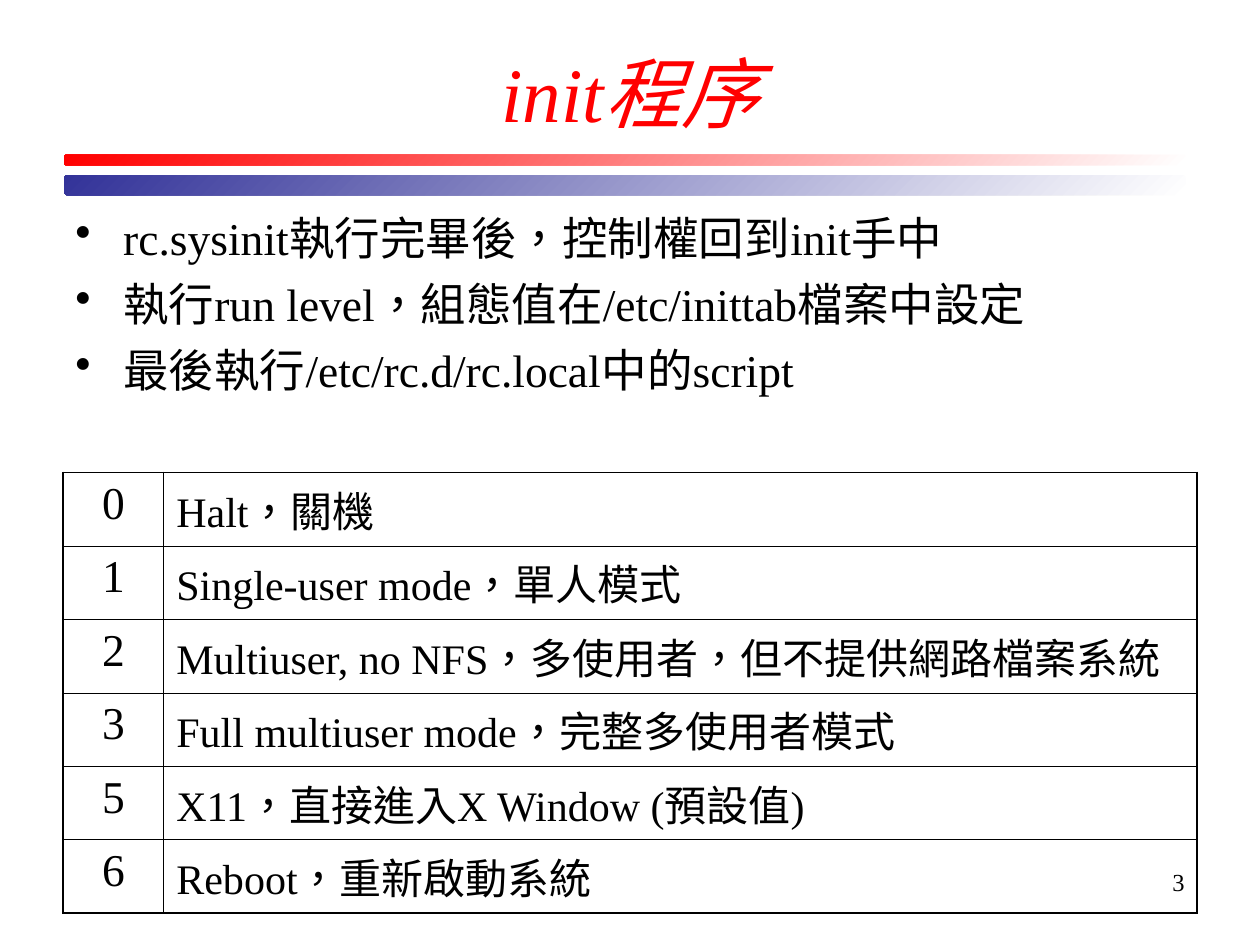
from dataclasses import dataclass

import pptx
import pptx.dml.color
import pptx.enum.shapes
import pptx.enum.text
import pptx.oxml
import pptx.oxml.ns
import pptx.util
from pptx.util import Inches

ALIGN = pptx.enum.text.PP_ALIGN
ANCHOR = pptx.enum.text.MSO_ANCHOR


@dataclass(frozen=True)
class Theme:
    font: str = "Times New Roman"
    language: str = "zh-TW"
    black: str = "000000"
    white: str = "FFFFFF"
    red: str = "FF0000"
    blue: str = "333399"
    title: int = 44
    body: int = 26
    cell: int = 24
    number: int = 14
    outer_line: float = 1.08
    inner_line: float = 0.45


THEME = Theme()

BULLETS = [
    "rc.sysinit執行完畢後，控制權回到init手中",
    "執行run level，組態值在/etc/inittab檔案中設定",
    "最後執行/etc/rc.d/rc.local中的script",
]
RUN_LEVELS = [
    ("0", "Halt，關機"),
    ("1", "Single-user mode，單人模式"),
    ("2", "Multiuser, no NFS，多使用者，但不提供網路檔案系統"),
    ("3", "Full multiuser mode，完整多使用者模式"),
    ("5", "X11，直接進入X Window (預設值)"),
    ("6", "Reboot，重新啟動系統"),
]


def rgb(value):
    return pptx.dml.color.RGBColor.from_string(value)


def write(p, text, *, size, color=THEME.black, italic=False,
          align=ALIGN.LEFT, before=0):
    """Put formatted text into a paragraph."""
    p.alignment = align
    p.space_before = pptx.util.Pt(before)
    r = p.add_run()
    r.text = text
    r.font.name = THEME.font
    r.font.size = pptx.util.Pt(size)
    r.font.italic = italic
    r.font.color.rgb = rgb(color)
    # Traditional Chinese centres the full-width comma
    r._r.get_or_add_rPr().set("lang", THEME.language)


def add_xml(parent, xml, index=None):
    ns = pptx.oxml.ns.nsdecls("a")
    element = pptx.oxml.parse_xml(xml.replace(" ", f" {ns} ", 1))
    parent.insert(len(parent) if index is None else index, element)


def add_bullet(p):
    pPr = p._p.get_or_add_pPr()
    pPr.set("marL", str(Inches(0.38)))
    pPr.set("indent", str(Inches(-0.38)))
    add_xml(pPr, f'<a:buClr ><a:srgbClr val="{THEME.black}"/></a:buClr>')
    add_xml(pPr, '<a:buChar char="•"/>')


def add_text_frame(s, left, top, width, height, anchor=ANCHOR.TOP):
    box = s.shapes.add_textbox(Inches(left), Inches(top),
                               Inches(width), Inches(height))
    tf = box.text_frame
    tf.word_wrap = True
    tf.vertical_anchor = anchor
    return tf


def add_bar(s, top, height, color):
    """Rounded rule that fades to white on the right."""
    sp = s.shapes.add_shape(pptx.enum.shapes.MSO_SHAPE.ROUNDED_RECTANGLE,
                            Inches(0.51), Inches(top),
                            Inches(8.9), Inches(height))
    sp.shadow.inherit = False
    sp.line.fill.background()
    sp.fill.gradient()
    sp.fill.gradient_angle = 135
    for stop, value in zip(sp.fill.gradient_stops, (THEME.white, color)):
        stop.color.rgb = rgb(value)


def set_borders(cell, outer_sides):
    tcPr = cell._tc.get_or_add_tcPr()
    for i, side in enumerate("LRTB"):
        points = THEME.outer_line if side in outer_sides else THEME.inner_line
        add_xml(tcPr, f'<a:ln{side} w="{pptx.util.Pt(points)}"><a:solidFill>'
                      f'<a:srgbClr val="{THEME.black}"/></a:solidFill>'
                      f'</a:ln{side}>', i)


def add_level_table(s, rows):
    last = len(rows) - 1
    table = s.shapes.add_table(len(rows), 2, Inches(0.5), Inches(3.75),
                               Inches(9), Inches(3.5)).table
    table.first_row = table.horz_banding = False
    table.columns[0].width = Inches(0.8)
    table.columns[1].width = Inches(8.2)
    formats = [
        dict(size=THEME.body, align=ALIGN.CENTER, before=6.5),
        dict(size=THEME.cell, before=6),
    ]
    for i, row in enumerate(rows):
        for j, text in enumerate(row):
            cell = table.cell(i, j)
            cell.fill.background()
            write(cell.text_frame.paragraphs[0], text, **formats[j])
            outer = "LR"[j] + ("T" if i == 0 else "") + ("B" if i == last else "")
            set_borders(cell, outer)


def main():
    prs = pptx.Presentation()
    prs.slide_width, prs.slide_height = Inches(10), Inches(7.5)
    s = prs.slides.add_slide(prs.slide_layouts[6])

    # Rules under the title
    add_bar(s, 1.23, 0.08, THEME.red)
    add_bar(s, 1.39, 0.16, THEME.blue)

    # Title
    tf = add_text_frame(s, 0.5, 0.3, 9, 0.85, ANCHOR.MIDDLE)
    write(tf.paragraphs[0], "init程序", size=THEME.title, color=THEME.red,
          italic=True, align=ALIGN.CENTER)

    # Bullet list
    tf = add_text_frame(s, 0.5, 1.62, 9, 2.45)
    for i, text in enumerate(BULLETS):
        p = tf.add_paragraph() if i else tf.paragraphs[0]
        write(p, text, size=THEME.body, before=6.5)
        add_bullet(p)

    # Run levels
    add_level_table(s, RUN_LEVELS)

    # Slide number
    tf = add_text_frame(s, 7.17, 6.83, 2.33, 0.52)
    write(tf.paragraphs[0], "3", size=THEME.number, align=ALIGN.RIGHT)

    prs.save("out.pptx")


if __name__ == "__main__":
    main()
